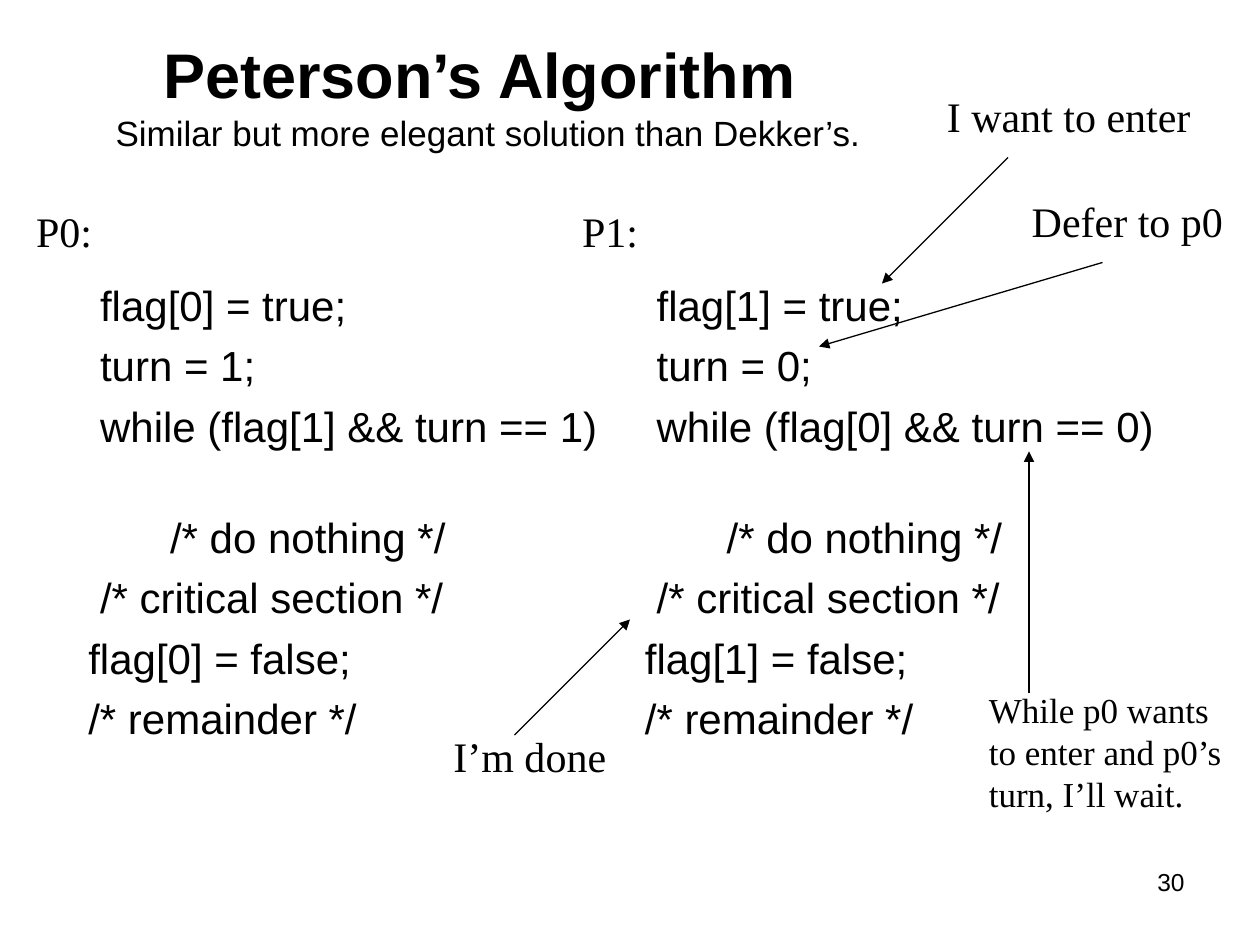
"""Build the slide on Peterson's Algorithm: two processes side by side, with remarks."""
import pptx
import pptx.dml.color
import pptx.enum.shapes
import pptx.enum.text
import pptx.oxml
import pptx.oxml.ns
import pptx.util

Pt = pptx.util.Pt
ALIGN = pptx.enum.text.PP_ALIGN
ANCHOR = pptx.enum.text.MSO_ANCHOR
COLOURS = {"ink": "000000", "paper": "FFFFFF"}
SANS, SERIF = "Arial", "Times New Roman"
FRAME = {"word_wrap": True, "auto_size": pptx.enum.text.MSO_AUTO_SIZE.NONE,
         "vertical_anchor": ANCHOR.TOP}


def apply(target, formats):
    for attribute, value in formats.items():
        setattr(target, attribute, value)


def colour(name):
    return pptx.dml.color.RGBColor.from_string(COLOURS[name])


def place(holder, left, top, width, height):
    apply(holder, {"left": Pt(left), "top": Pt(top), "width": Pt(width), "height": Pt(height)})


def write(paragraph, wording, size, font=SANS, bold=False):
    run = paragraph.add_run()
    run.text = wording
    apply(run.font, {"name": font, "size": Pt(size), "bold": bold})
    run.font.color.rgb = colour("ink")


def paragraphs(frame, count):
    return [frame.paragraphs[0]] + [frame.add_paragraph() for _ in range(count - 1)]


def add_heading(heading, main, subtitle):
    place(heading, 18, 18, 522, 72)
    apply(heading.text_frame, FRAME | {"vertical_anchor": ANCHOR.MIDDLE})
    line = heading.text_frame.paragraphs[0]
    line.alignment = ALIGN.CENTER
    write(line, main, 36, bold=True)
    line.add_line_break()
    write(line, subtitle, 20)


def add_code(listing, box, own, other):
    statements = [
        (f"flag[{own}] = true;", 20, 5.8),
        (f"turn = {other};", 20, 5.8),
        (f"while (flag[{other}] && turn == {other})", 20, 5.8),
        ("/* do nothing */", 60, 34.5),
        ("/* critical section */", 20, 5.8),
        (f"flag[{own}] = false;", 13.3, 5.8),
        ("/* remainder */", 13.3, 5.8),
    ]
    place(listing, *box)
    frame = listing.text_frame
    apply(frame, FRAME)
    for line, (statement, indent, gap) in zip(paragraphs(frame, len(statements)), statements):
        write(line, statement, 24)
        line.space_before = Pt(gap)
        properties = line._p.get_or_add_pPr()
        properties.set("marL", str(Pt(indent)))
        properties.set("indent", "0")
        properties.append(pptx.oxml.parse_xml(f"<a:buNone {pptx.oxml.ns.nsdecls('a')}/>"))


def add_remark(slide, lines, box, size=24, font=SERIF, wrap=False, align=ALIGN.LEFT):
    remark = slide.shapes.add_textbox(*map(Pt, box))
    frame = remark.text_frame
    apply(frame, FRAME | {"word_wrap": wrap})
    for line, wording in zip(paragraphs(frame, len(lines)), lines):
        line.alignment = align
        write(line, wording, size, font)


def add_arrow(slide, start, end):
    arrow = slide.shapes.add_connector(
        pptx.enum.shapes.MSO_CONNECTOR.STRAIGHT, *map(Pt, start + end))
    arrow.line.width = Pt(0.75)
    arrow.line.color.rgb = colour("ink")
    namespace = pptx.oxml.ns.nsdecls("a")
    arrow.line._get_or_add_ln().append(
        pptx.oxml.parse_xml(f'<a:tailEnd {namespace} type="triangle"/>'))
    arrow._element.spPr.append(pptx.oxml.parse_xml(f"<a:effectLst {namespace}/>"))


def main():
    deck = pptx.Presentation()
    apply(deck, {"slide_width": Pt(720), "slide_height": Pt(540)})
    slide = deck.slides.add_slide(deck.slide_layouts.get_by_name("Two Content"))
    slide.background.fill.solid()
    slide.background.fill.fore_color.rgb = colour("paper")

    heading, code_p0, code_p1 = slide.placeholders
    add_heading(heading, "Peterson’s Algorithm ",
                "Similar but more elegant solution than Dekker’s.")
    add_code(code_p0, (30, 156, 336, 356), own=0, other=1)
    add_code(code_p1, (348, 156, 342, 342), own=1, other=0)

    for wording, box in [
        ("P0:", (13.5, 114, 46, 36)),
        ("P1:", (325.5, 114, 46, 36)),
        ("I want to enter", (534, 48, 153, 36)),
        ("Defer to p0", (582.5, 108, 124, 36)),
        ("I’m done", (252, 414, 101.5, 36)),
    ]:
        add_remark(slide, [wording], box)
    add_remark(slide, ["While p0 wants", "to enter and p0’s turn, I’ll wait."],
               (558, 390, 174, 79), size=20, wrap=True)
    add_remark(slide, ["30"], (516, 492, 168, 37.5), size=14, font=SANS,
               wrap=True, align=ALIGN.RIGHT)

    for start, end in [
        ((576, 90), (504, 162)),
        ((630, 150), (468, 198)),
        ((588, 396), (588, 258)),
        ((294, 420), (360, 354)),
    ]:
        add_arrow(slide, start, end)
    deck.save("out.pptx")


if __name__ == "__main__":
    main()
